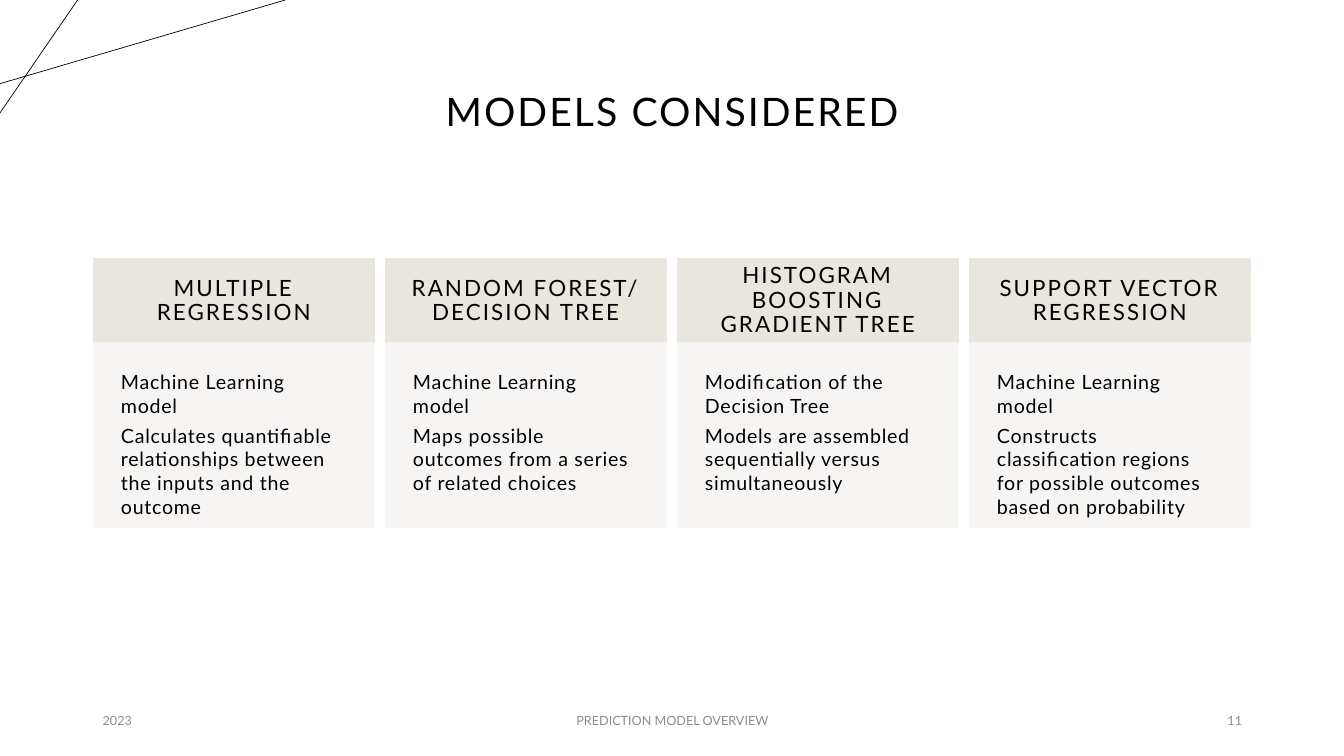
from dataclasses import dataclass
from typing import Any

from lxml.etree import SubElement
from pptx import Presentation
from pptx.dml.color import RGBColor as Color
from pptx.enum.shapes import MSO_CONNECTOR as Connector, MSO_SHAPE as Preset
from pptx.enum.text import MSO_ANCHOR as Anchor, PP_ALIGN as Align
from pptx.oxml.ns import qn
from pptx.util import Inches, Pt

# Grid of square cells, ten to the inch
CELL = Inches(0.1)
PAGE_COLUMNS, PAGE_ROWS = 133.33, 75


@dataclass(frozen=True)
class Theme:
    font: str = "Lato"
    ink: str = "000000"
    muted: str = "8C8C8C"
    header_fill: str = "E9E6DF"
    body_fill: str = "F7F5F3"
    body_opacity: int = 90
    title_size: int = 28
    header_size: int = 16
    body_size: int = 14
    footer_size: int = 9
    wide_spacing: float = 1.5
    body_spacing: float = 0.5


THEME = Theme()


@dataclass(frozen=True)
class Area:
    column: float
    row: float
    columns: float
    rows: float

    def lengths(self) -> list[int]:
        return [cells(n) for n in (self.column, self.row, self.columns, self.rows)]


@dataclass(frozen=True)
class Style:
    size: int
    color: str = THEME.ink
    align: Align = Align.LEFT
    anchor: Anchor = Anchor.MIDDLE
    spacing: float = 0
    line_spacing: float = 1.0
    after_share: float = 0
    inset: tuple[float, float] = (1, 0.5)


@dataclass(frozen=True)
class Model:
    name: str
    points: tuple[str, ...]


@dataclass(frozen=True)
class Label:
    text: str
    area: Area
    style: Style


@dataclass(frozen=True)
class Stroke:
    start: tuple[float, float]
    end: tuple[float, float]


# Text styles
TITLE = Style(THEME.title_size, align=Align.CENTER, spacing=THEME.wide_spacing, line_spacing=0.9)
HEADER = Style(THEME.header_size, align=Align.CENTER, spacing=THEME.wide_spacing,
               line_spacing=0.9, after_share=0.35, inset=(2.2, 2.2))
BODY = Style(THEME.body_size, anchor=Anchor.TOP, spacing=THEME.body_spacing,
             after_share=0.35, inset=(2.7, 2.7))


def footer(align: Align) -> Style:
    return Style(THEME.footer_size, THEME.muted, align)


# Content
STROKES = [Stroke((0, 8.3), (28.3, 0)), Stroke((7.7, 0), (0, 11.2))]
LABELS = [
    Label("MODELS CONSIDERED", Area(9.2, 4, 115, 14.5), TITLE),
    Label("2023", Area(9.2, 69.5, 30, 4), footer(Align.LEFT)),
    Label("PREDICTION MODEL OVERVIEW", Area(44.2, 69.5, 45, 4), footer(Align.CENTER)),
    Label("11", Area(94.2, 69.5, 30, 4), footer(Align.RIGHT)),
]
MODELS = [
    Model("MULTIPLE REGRESSION", (
        "Machine Learning model",
        "Calculates quantifiable relationships between the inputs and the outcome")),
    Model("RANDOM FOREST/ DECISION TREE", (
        "Machine Learning model",
        "Maps possible outcomes from a series of related choices")),
    Model("HISTOGRAM BOOSTING GRADIENT TREE", (
        "Modification of the Decision Tree",
        "Models are assembled sequentially versus simultaneously")),
    Model("SUPPORT VECTOR REGRESSION", (
        "Machine Learning model",
        "Constructs classification regions for possible outcomes based on probability")),
]
CARDS_LEFT, CARDS_TOP, CARDS_WIDTH = 9.3, 25.7, 114.7
CARD_WIDTH, HEADER_ROWS, BODY_ROWS = 27.8, 8.3, 18.3


def cells(count: float) -> int:
    return round(count * CELL)


def apply(target: Any, values: dict[str, Any]) -> None:
    for name, value in values.items():
        setattr(target, name, value)


def write(frame: Any, lines: tuple[str, ...], style: Style) -> None:
    across, down = (cells(n) for n in style.inset)
    apply(frame, {"word_wrap": True, "vertical_anchor": style.anchor,
                  "margin_left": across, "margin_right": across,
                  "margin_top": down, "margin_bottom": down})
    for index, line in enumerate(lines):
        para = frame.add_paragraph() if index else frame.paragraphs[0]
        apply(para, {"alignment": style.align, "line_spacing": style.line_spacing,
                     "space_after": Pt(style.size * style.after_share)})
        span = para.add_run()
        span.text = line
        apply(span.font, {"name": THEME.font, "size": Pt(style.size)})
        span.font.color.rgb = Color.from_string(style.color)
        span._r.get_or_add_rPr().set("spc", str(round(style.spacing * 100)))


def draw_stroke(page: Any, stroke: Stroke) -> None:
    ends = [cells(n) for n in (*stroke.start, *stroke.end)]
    line = page.shapes.add_connector(Connector.STRAIGHT, *ends)
    line.line.width = Pt(0.5)
    line.line.color.rgb = Color.from_string(THEME.ink)
    SubElement(line._element.spPr, qn("a:effectLst"))


def draw_label(page: Any, label: Label) -> None:
    box = page.shapes.add_textbox(*label.area.lengths())
    write(box.text_frame, (label.text,), label.style)


def draw_panel(page: Any, area: Area, fill: str, lines: tuple[str, ...],
               style: Style, opacity: int = 100) -> None:
    box = page.shapes.add_shape(Preset.RECTANGLE, *area.lengths())
    box.shadow.inherit = False
    box.fill.solid()
    box.line.width = Pt(1)
    for paint in (box.fill.fore_color, box.line.color):
        paint.rgb = Color.from_string(fill)
    if opacity < 100:
        for tone in box._element.spPr.iter(qn("a:srgbClr")):
            SubElement(tone, qn("a:alpha")).set("val", str(opacity * 1000))
    write(box.text_frame, lines, style)


def draw_card(page: Any, index: int, model: Model) -> None:
    pitch = (CARDS_WIDTH - CARD_WIDTH) / (len(MODELS) - 1)
    left = CARDS_LEFT + index * pitch
    draw_panel(page, Area(left, CARDS_TOP, CARD_WIDTH, HEADER_ROWS),
               THEME.header_fill, (model.name,), HEADER)
    draw_panel(page, Area(left, CARDS_TOP + HEADER_ROWS, CARD_WIDTH, BODY_ROWS),
               THEME.body_fill, model.points, BODY, THEME.body_opacity)


def main() -> None:
    deck = Presentation()
    apply(deck, {"slide_width": cells(PAGE_COLUMNS), "slide_height": cells(PAGE_ROWS)})
    page = deck.slides.add_slide(deck.slide_layouts[6])
    # Corner lines
    for stroke in STROKES:
        draw_stroke(page, stroke)
    # Title and footer
    for label in LABELS:
        draw_label(page, label)
    # Model cards
    for index, model in enumerate(MODELS):
        draw_card(page, index, model)
    deck.save("out.pptx")


if __name__ == "__main__":
    main()
